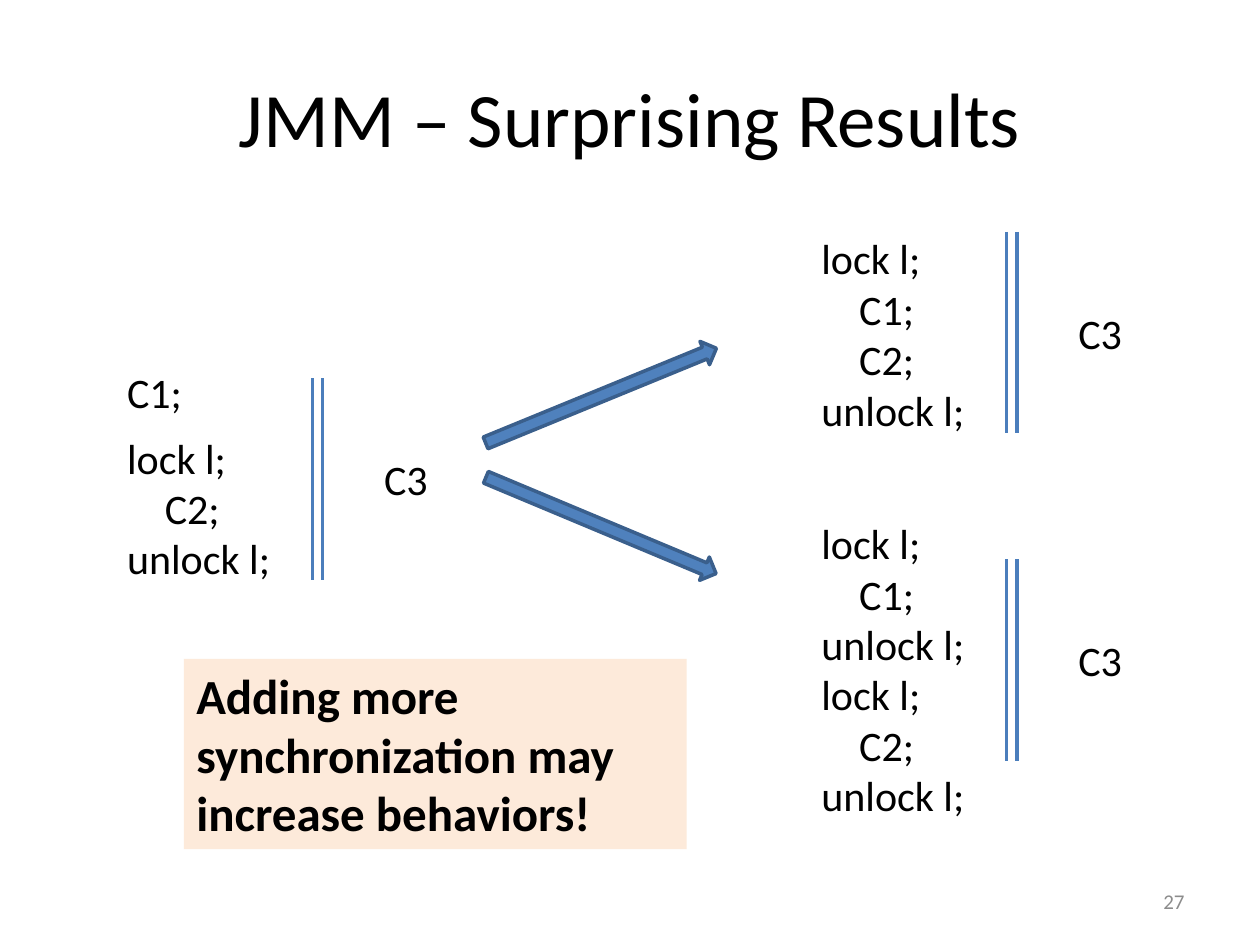
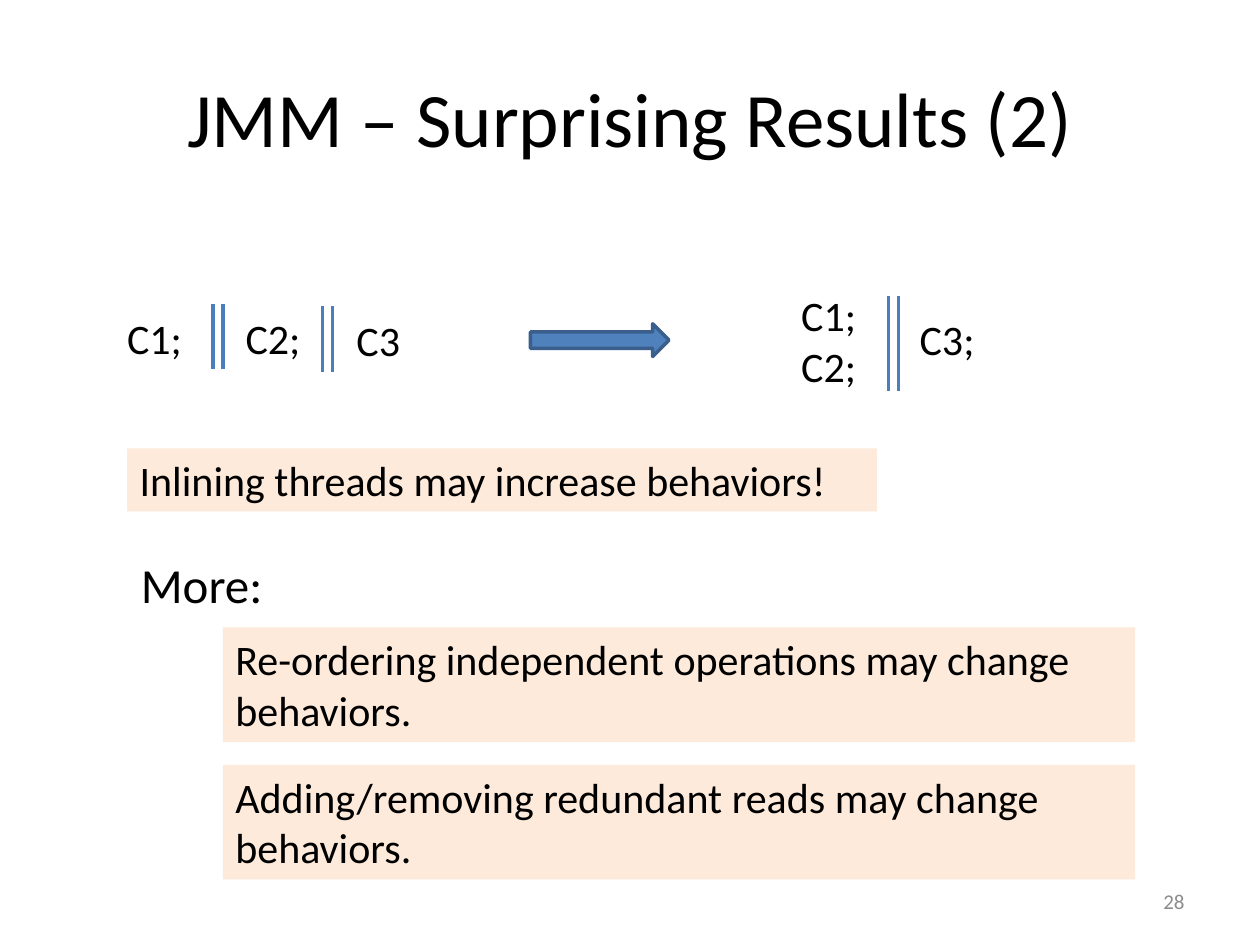
from lxml import etree
from pptx import Presentation
from pptx.dml.color import RGBColor
from pptx.enum.shapes import MSO_CONNECTOR, MSO_SHAPE
from pptx.enum.text import MSO_ANCHOR, PP_ALIGN
from pptx.oxml.ns import qn
from pptx.util import Inches, Pt

BLACK = RGBColor(0x00, 0x00, 0x00)
GRAY = RGBColor(0x8C, 0x8C, 0x8C)
BAR_BLUE = RGBColor(0x4B, 0x7E, 0xBC)
ARROW_BLUE = RGBColor(0x4F, 0x81, 0xBD)
ARROW_EDGE = RGBColor(0x3A, 0x5F, 0x8C)
PEACH = RGBColor(0xFD, 0xEA, 0xDA)
FONT = "Calibri"
LINE_WIDTH = Pt(2)
BAR_GAP = 0.08
CODE_INDENT = Inches(0.3)


def format_text(shape, text, size, color=BLACK, bold=False,
                align=PP_ALIGN.LEFT, anchor=MSO_ANCHOR.TOP):
    frame = shape.text_frame
    frame.text = text
    frame.word_wrap = True
    frame.vertical_anchor = anchor
    for paragraph in frame.paragraphs:
        paragraph.alignment = align
        for run in paragraph.runs:
            run.font.name = FONT
            run.font.size = Pt(size)
            run.font.bold = bold
            run.font.color.rgb = color


def add_text(slide, box, text, size, **style):
    shape = slide.shapes.add_textbox(*map(Inches, box))
    format_text(shape, text, size, **style)
    return shape


def add_code(slide, left, top, lines, width=0.71, indented=()):
    """Add one statement per line; the statements in indented sit inside a lock."""
    box = (left, top, width, 0.1 + 0.4 * len(lines))
    shape = add_text(slide, box, "\n".join(lines), 24)
    for paragraph in shape.text_frame.paragraphs:
        if paragraph.text in indented:
            paragraph._p.get_or_add_pPr().set("marL", str(CODE_INDENT))


def add_parallel_bars(slide, left, top, height):
    """Add the double bar that stands for parallel composition."""
    group = slide.shapes.add_group_shape()
    for x in (left, left + BAR_GAP):
        bar = group.shapes.add_connector(
            MSO_CONNECTOR.STRAIGHT, Inches(x), Inches(top), Inches(x), Inches(top + height))
        bar.line.color.rgb = BAR_BLUE
        bar.line.width = LINE_WIDTH
        etree.SubElement(bar._element.spPr, qn("a:effectLst"))


def add_arrow(slide, box, rotation=0):
    arrow = slide.shapes.add_shape(MSO_SHAPE.RIGHT_ARROW, *map(Inches, box))
    arrow.shadow.inherit = False
    arrow.rotation = rotation
    arrow.fill.solid()
    arrow.fill.fore_color.rgb = ARROW_BLUE
    arrow.line.color.rgb = ARROW_EDGE
    arrow.line.width = LINE_WIDTH


def add_callout(slide, box, text, size=24, bold=False):
    callout = slide.shapes.add_shape(MSO_SHAPE.RECTANGLE, *map(Inches, box))
    callout.shadow.inherit = False
    callout.fill.solid()
    callout.fill.fore_color.rgb = PEACH
    callout.line.fill.background()
    format_text(callout, text, size, bold=bold)


def add_titled_slide(presentation, title, number):
    slide = presentation.slides.add_slide(presentation.slide_layouts[6])
    add_text(slide, (0.5, 0.3, 9, 1.25), title, 44,
             align=PP_ALIGN.CENTER, anchor=MSO_ANCHOR.MIDDLE)
    add_text(slide, (7.17, 6.95, 2.33, 0.4), str(number), 12, color=GRAY,
             align=PP_ALIGN.RIGHT, anchor=MSO_ANCHOR.MIDDLE)
    return slide


def build_locking_slide(presentation):
    slide = add_titled_slide(presentation, "JMM – Surprising Results", 27)
    add_code(slide, 0.91, 2.86, ["C1;"])
    programs = [
        (0.91, 3.38, ["lock l;", "C2;", "unlock l;"], 3),
        (6.42, 1.8, ["lock l;", "C1;", "C2;", "unlock l;"], 1.84),
        (6.42, 4.06, ["lock l;", "C1;", "unlock l;", "lock l;", "C2;", "unlock l;"], 4.44),
    ]
    for left, top, lines, bars_top in programs:
        add_code(slide, left, top, lines, width=1.42, indented=("C1;", "C2;"))
        add_parallel_bars(slide, left + 1.57, bars_top, 1.6)
        add_code(slide, left + 2.04, bars_top + 0.55, ["C3"])
    add_arrow(slide, (3.78, 3.04, 1.98, 0.2), rotation=-22.3)
    add_arrow(slide, (3.78, 4.07, 1.98, 0.2), rotation=22.7)
    add_callout(slide, (1.46, 5.23, 3.99, 1.51),
                "Adding more synchronization may increase behaviors!", size=28, bold=True)


def build_inlining_slide(presentation):
    slide = add_titled_slide(presentation, "JMM – Surprising Results (2)", 28)
    add_code(slide, 0.91, 2.43, ["C1;"])
    add_parallel_bars(slide, 1.69, 2.41, 0.52)
    add_code(slide, 1.85, 2.43, ["C2;"])
    add_parallel_bars(slide, 2.56, 2.43, 0.52)
    add_code(slide, 2.73, 2.45, ["C3"], width=0.55)
    add_arrow(slide, (4.21, 2.57, 1.1, 0.26))
    add_code(slide, 6.26, 2.25, ["C1;", "C2;"])
    add_parallel_bars(slide, 7.05, 2.35, 0.75)
    add_code(slide, 7.2, 2.44, ["C3;"])

    add_callout(slide, (1.01, 3.56, 5.95, 0.5), "Inlining threads may increase behaviors!")
    add_text(slide, (1.02, 4.35, 1.31, 0.57), "More:", 28)
    more_results = [
        "Re-ordering independent operations may change behaviors.",
        "Adding/removing redundant reads may change behaviors.",
    ]
    for row, result in enumerate(more_results):
        add_callout(slide, (1.77, 4.98 + 1.09 * row, 7.24, 0.91), result)


def main():
    presentation = Presentation()
    presentation.slide_width = Inches(10)
    presentation.slide_height = Inches(7.5)
    build_locking_slide(presentation)
    build_inlining_slide(presentation)
    presentation.save("out.pptx")


if __name__ == "__main__":
    main()
